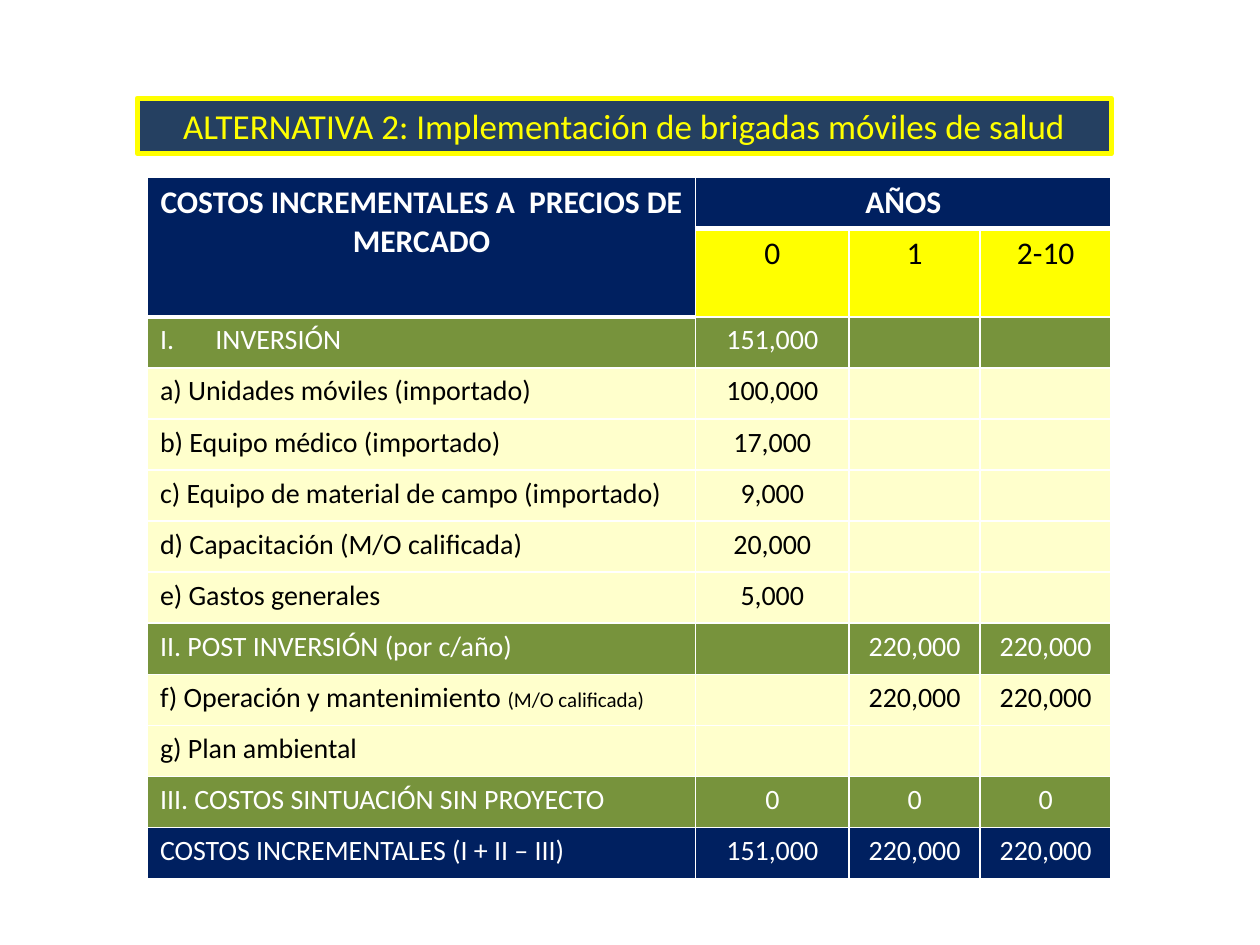
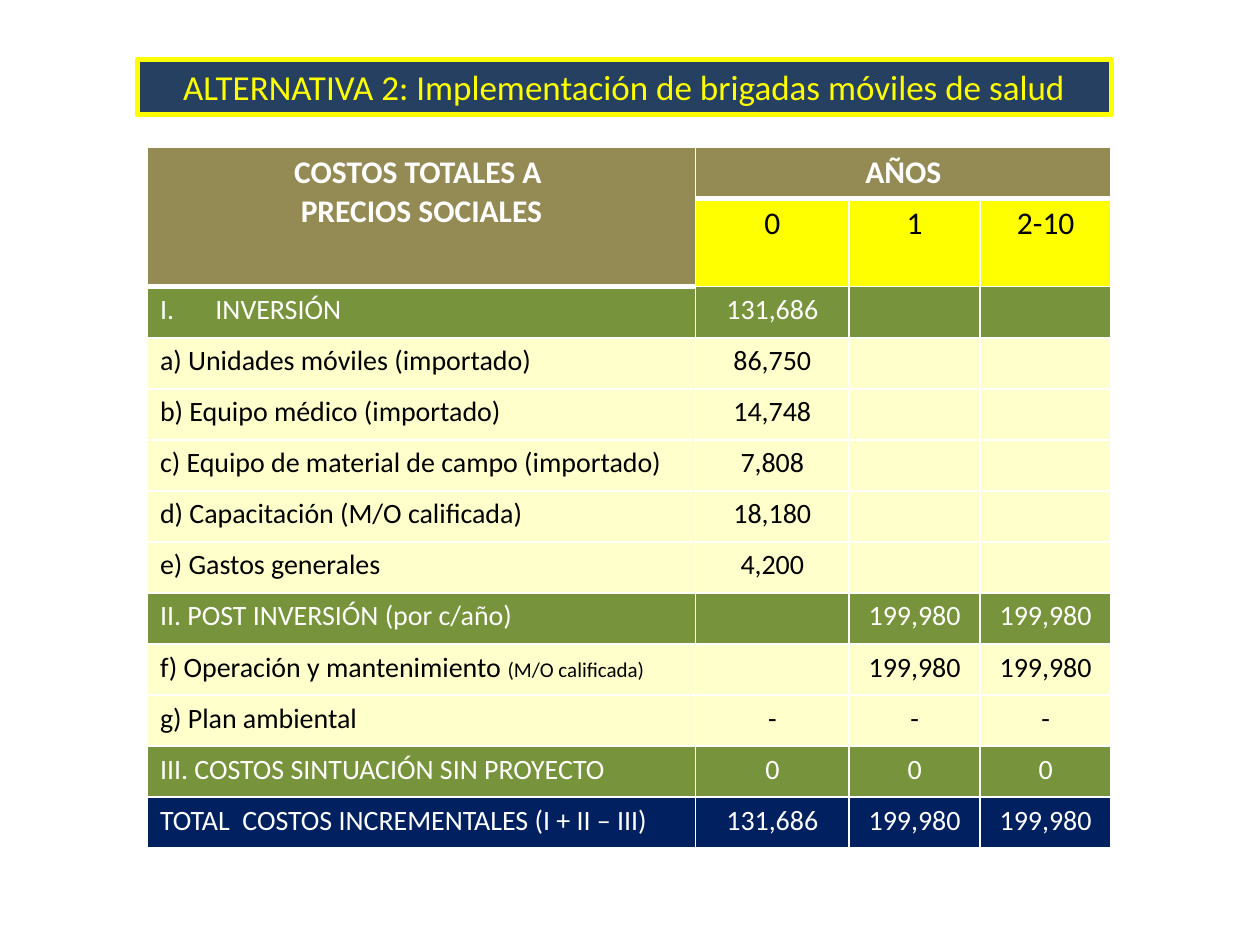
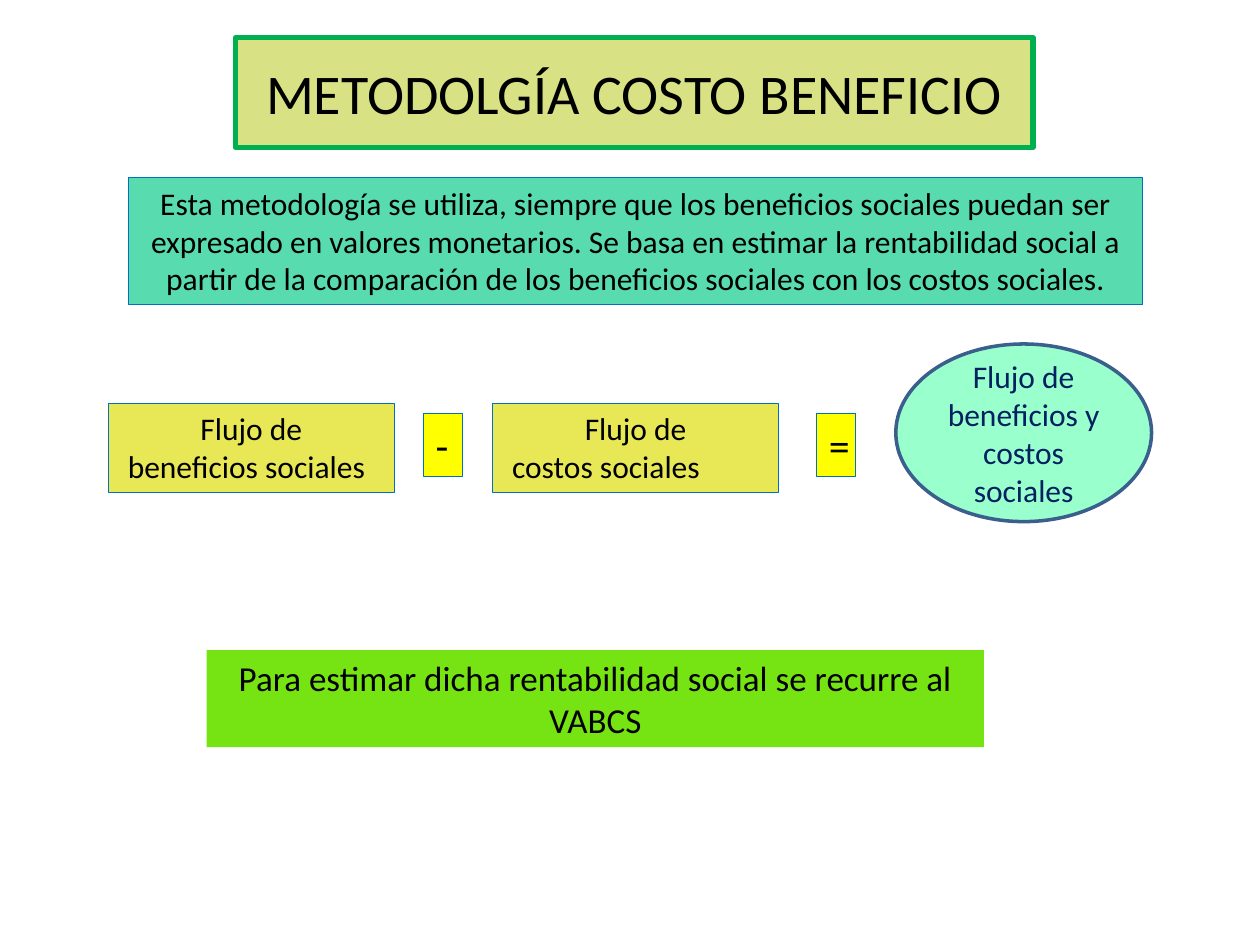
from lxml import etree
from pptx import Presentation
from pptx.dml.color import RGBColor
from pptx.enum.shapes import MSO_SHAPE
from pptx.enum.text import MSO_ANCHOR, MSO_AUTO_SIZE, PP_ALIGN
from pptx.oxml.ns import qn
from pptx.util import Inches, Pt

RECT, ELLIPSE = MSO_SHAPE.RECTANGLE, MSO_SHAPE.OVAL
TOP, MIDDLE = MSO_ANCHOR.TOP, MSO_ANCHOR.MIDDLE
LEFT, CENTER = PP_ALIGN.LEFT, PP_ALIGN.CENTER
GROW, FIXED = MSO_AUTO_SIZE.SHAPE_TO_FIT_TEXT, MSO_AUTO_SIZE.NONE

FONT = "Calibri"
BLACK = RGBColor(0x00, 0x00, 0x00)
WHITE = RGBColor(0xFF, 0xFF, 0xFF)
YELLOW = RGBColor(0xFF, 0xFF, 0x00)
NAVY = RGBColor(0x00, 0x20, 0x60)
SLATE = RGBColor(0x25, 0x40, 0x61)
KHAKI = RGBColor(0x94, 0x8A, 0x54)
OLIVE = RGBColor(0x77, 0x93, 0x3C)
CREAM = RGBColor(0xFF, 0xFF, 0xCC)
BLUE = RGBColor(0x00, 0x70, 0xC0)
GREEN = RGBColor(0x00, 0xB0, 0x50)
LIME = RGBColor(0xD8, 0xE1, 0x83)
TEAL = RGBColor(0x57, 0xDB, 0xAF)
MUSTARD = RGBColor(0xE8, 0xE8, 0x56)
MINT = RGBColor(0x99, 0xFF, 0xCC)
STEEL = RGBColor(0x3A, 0x5F, 0x8C)
BRIGHT_GREEN = RGBColor(0x76, 0xE4, 0x12)

COLUMN_WIDTHS = (4.35, 1.22, 1.04, 1.04)
YEARS = ("0", "1", "2-10")
SECTION, ITEM, TOTAL = (OLIVE, WHITE), (CREAM, BLACK), (NAVY, WHITE)
COST_ROWS = (
    ("INVERSIÓN", SECTION),
    ("a) Unidades móviles (importado)", ITEM),
    ("b) Equipo médico (importado)", ITEM),
    ("c) Equipo de material de campo (importado)", ITEM),
    ("d) Capacitación (M/O calificada)", ITEM),
    ("e) Gastos generales", ITEM),
    ("II. POST INVERSIÓN (por c/año)", SECTION),
    ("f) Operación y mantenimiento ", ITEM),
    ("g) Plan ambiental", ITEM),
    ("III. COSTOS SINTUACIÓN SIN PROYECTO", SECTION),
)
OPERATION_ROW = 7
OPERATION_NOTE = "(M/O calificada)"


def add_run(paragraph, text, size, color, bold=False):
    run = paragraph.add_run()
    run.text = text
    run.font.name = FONT
    run.font.size = Pt(size)
    run.font.bold = bold
    run.font.color.rgb = color


def write_lines(frame, lines, size, color, bold=False):
    """Fill a text frame with one paragraph per (text, alignment) pair."""
    for index, (text, align) in enumerate(lines):
        paragraph = frame.add_paragraph() if index else frame.paragraphs[0]
        paragraph.alignment = align
        add_run(paragraph, text, size, color, bold)


def add_box(slide, at, lines, size, fill, line=None, color=BLACK,
            kind=RECT, anchor=TOP, auto_size=GROW):
    """Add a filled shape with text; line is (colour, points) or None."""
    box = slide.shapes.add_shape(kind, *map(Inches, at))
    box.shadow.inherit = False
    box.fill.solid()
    box.fill.fore_color.rgb = fill
    if line:
        box.line.color.rgb, box.line.width = line[0], Pt(line[1])
    else:
        box.line.fill.background()
    frame = box.text_frame
    frame.word_wrap = True
    frame.auto_size = auto_size
    frame.vertical_anchor = anchor
    write_lines(frame, lines, size, color)


def add_alternative_title(slide, top):
    add_box(slide, (1.09, top, 7.73, 0.44),
            [("ALTERNATIVA 2: Implementación de brigadas móviles de salud", CENTER)],
            20, SLATE, (YELLOW, 3), YELLOW)


def style_cell(cell, fill, bottom=1):
    """Give a cell white borders (bottom in points) and a solid fill."""
    properties = cell._tc.get_or_add_tcPr()
    for side, points in (("L", 1), ("R", 1), ("T", 1), ("B", bottom)):
        border = etree.SubElement(properties, qn(f"a:ln{side}"), w=str(Pt(points)))
        solid = etree.SubElement(border, qn("a:solidFill"))
        etree.SubElement(solid, qn("a:srgbClr"), val=str(WHITE))
    cell.fill.solid()
    cell.fill.fore_color.rgb = fill


def number_roman(paragraph):
    properties = paragraph._p.get_or_add_pPr()
    indent = Inches(0.44)
    properties.set("marL", str(indent))
    properties.set("indent", str(-indent))
    etree.SubElement(properties, qn("a:buFont"), typeface="+mj-lt")
    etree.SubElement(properties, qn("a:buAutoNum"), type="romanUcPeriod")


def add_table_header(table, heading, fill):
    for column in range(len(COLUMN_WIDTHS)):
        style_cell(table.cell(0, column), fill, bottom=3)
    style_cell(table.cell(1, 0), fill, bottom=3)
    table.cell(0, 0).merge(table.cell(1, 0))
    table.cell(0, 1).merge(table.cell(0, 3))
    write_lines(table.cell(0, 0).text_frame, [(text, CENTER) for text in heading],
                18, WHITE, True)
    write_lines(table.cell(0, 1).text_frame, [("AÑOS", CENTER)], 18, WHITE, True)
    for column, year in enumerate(YEARS, 1):
        cell = table.cell(1, column)
        style_cell(cell, YELLOW)
        write_lines(cell.text_frame, [(year, CENTER)], 18, BLACK)


def add_cost_table(slide, top, heading, header_fill, total_label, values):
    """Add the cost table; values holds the amounts by year for each cost row."""
    rows = COST_ROWS + ((total_label, TOTAL),)
    table = slide.shapes.add_table(len(rows) + 2, len(COLUMN_WIDTHS), Inches(1.17),
                                   Inches(top), Inches(7.66), Inches(5.27)).table
    table.first_row = table.horz_banding = False
    for column, width in zip(table.columns, COLUMN_WIDTHS):
        column.width = Inches(width)
    add_table_header(table, heading, header_fill)

    for row, ((label, (fill, color)), amounts) in enumerate(zip(rows, values), 2):
        for column, text in enumerate((label, *amounts)):
            cell = table.cell(row, column)
            style_cell(cell, fill)
            if text:
                write_lines(cell.text_frame, [(text, CENTER if column else LEFT)],
                            16, color)
    number_roman(table.cell(2, 0).text_frame.paragraphs[0])
    operation = table.cell(2 + OPERATION_ROW, 0).text_frame.paragraphs[0]
    add_run(operation, OPERATION_NOTE, 12, BLACK)


def cost_values(investment, items, operation, environment):
    """Arrange the amounts in the order of the table's rows."""
    yearly = ("", operation, operation)
    return [(investment, "", ""), *((item, "", "") for item in items),
            yearly, yearly, (environment,) * 3, ("0",) * 3,
            (investment, operation, operation)]


def add_market_costs(slide):
    add_alternative_title(slide, 0.78)
    add_cost_table(
        slide, 1.41, ["COSTOS INCREMENTALES A  PRECIOS DE MERCADO"], NAVY,
        "COSTOS INCREMENTALES (I + II – III)",
        cost_values("151,000", ("100,000", "17,000", "9,000", "20,000", "5,000"),
                    "220,000", ""))


def add_social_costs(slide):
    add_cost_table(
        slide, 1.17, ["COSTOS TOTALES A ", "PRECIOS SOCIALES"], KHAKI,
        "TOTAL  COSTOS INCREMENTALES (I + II – III)",
        cost_values("131,686", ("86,750", "14,748", "7,808", "18,180", "4,200"),
                    "199,980", "-"))
    add_alternative_title(slide, 0.47)


def add_methodology(slide):
    thin_blue = (BLUE, 0.75)
    add_box(slide, (1.87, 0.3, 6.33, 0.87), [("METODOLGÍA COSTO BENEFICIO", CENTER)],
            32, LIME, (GREEN, 3), anchor=MIDDLE, auto_size=FIXED)
    add_box(slide, (1.02, 1.41, 8.05, 1.01),
            [("Esta metodología se utiliza, siempre que los beneficios sociales puedan "
              "ser expresado en valores monetarios. Se basa en estimar la rentabilidad "
              "social a partir de la comparación de los beneficios sociales con los "
              "costos sociales.", CENTER)], 18, TEAL, thin_blue)
    for left, flow in ((0.86, " beneficios sociales"), (3.91, " costos sociales")):
        add_box(slide, (left, 3.2, 2.27, 0.71), [("Flujo de", CENTER), (flow, LEFT)],
                18, MUSTARD, thin_blue)
    for left, sign, align in ((3.36, "-", LEFT), (6.48, "=", CENTER)):
        add_box(slide, (left, 3.28, 0.31, 0.5), [(sign, align)], 24, YELLOW, thin_blue)
    add_box(slide, (7.11, 2.73, 2.03, 1.41),
            [("Flujo de beneficios y costos sociales", CENTER)], 18, MINT, (STEEL, 2),
            NAVY, ELLIPSE, MIDDLE, FIXED)
    add_box(slide, (1.64, 5.16, 6.17, 0.77),
            [("Para estimar dicha rentabilidad social se recurre al VABCS", CENTER)],
            20, BRIGHT_GREEN)


def main():
    presentation = Presentation()
    presentation.slide_width = Inches(10)
    presentation.slide_height = Inches(7.5)
    blank = presentation.slide_layouts[6]
    for fill_slide in (add_market_costs, add_social_costs, add_methodology):
        fill_slide(presentation.slides.add_slide(blank))
    presentation.save("out.pptx")


if __name__ == "__main__":
    main()
